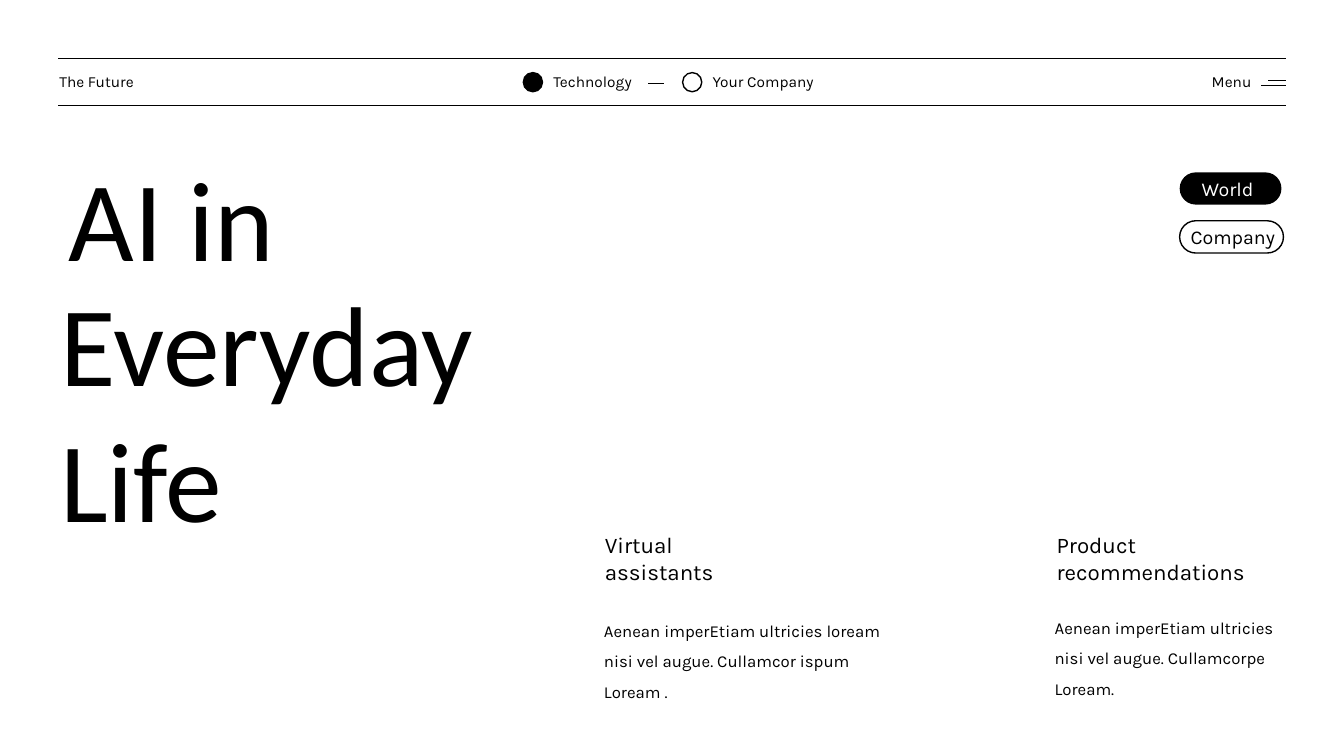
from pptx import Presentation
from pptx.util import Inches, Pt
from pptx.dml.color import RGBColor
from pptx.enum import shapes, text
from pptx.oxml.ns import qn
from lxml import etree

THEME = {
    "ink": RGBColor(0, 0, 0), "paper": RGBColor(255, 255, 255),
    "head": "Calibri", "body": "Karla",
    "huge": 81, "large": 16, "pill": 14, "text": 12, "nav": 11,
    "thin": 0.75, "line": 1,
}

TITLE = (["AI in"], (0.58, 1.42, 6.3, 1.46))
REST = (["Everyday", "Life"], (0.5, 2.66, 4.7, 2.83))
NAV = [
    ("The Future", 0.49, 1.19),
    ("Technology", 5.39, 1.28),
    ("Your Company", 6.97, 1.38),
    ("Menu", 11.92, 0.83),
]
DOTS = [(5.19, True), (6.77, False)]
RULES = [
    (0.58, 12.75, 0.58, "thin"),
    (0.58, 12.75, 1.05, "thin"),
    (12.58, 12.75, 0.8, "line"),
    (12.51, 12.75, 0.85, "line"),
    (6.43, 6.59, 0.83, "line"),
]
TOPICS = [
    (["Virtual assistants"], (5.9, 5.22, 1.7, 0.64),
     ["Aenean imperEtiam ultricies loream", "nisi vel augue. Cullamcor ispum", "Loream ."],
     (5.89, 6.01, 3.44, 0.98)),
    (["Product recommendations"], (10.38, 5.22, 2.19, 0.64),
     ["Aenean imperEtiam ultricies", "nisi vel augue. Cullamcorpe", "Loream."],
     (10.36, 5.98, 2.51, 0.98)),
]
PILLS = [
    ("World", (11.7, 1.71, 1.01, 0.32), (11.82, 1.71, 0.83, 0.34), True),
    ("Company", (11.7, 2.19, 1.03, 0.32), (11.71, 2.18, 1.27, 0.34), False),
]

deck = Presentation()
deck.slide_width, deck.slide_height = Inches(13.33), Inches(7.5)
slide = deck.slides.add_slide(deck.slide_layouts.get_by_name("Comparison"))
slide.background.fill.solid()
slide.background.fill.fore_color.rgb = THEME["paper"]
slots = slide.placeholders


def write(box, lines, place, size, face="body", ink="ink", space=1):
    box.left, box.top, box.width, box.height = map(Inches, place)
    frame = box.text_frame
    frame.word_wrap = True
    frame.auto_size = text.MSO_AUTO_SIZE.NONE
    frame.vertical_anchor = text.MSO_ANCHOR.TOP
    for row, line in enumerate(lines):
        para = frame.add_paragraph() if row else frame.paragraphs[0]
        props = para._p.get_or_add_pPr()
        props.set("marL", "0")
        props.set("indent", "0")
        etree.SubElement(props, qn("a:buNone"))
        para.alignment = text.PP_ALIGN.LEFT
        para.line_spacing = space
        para.space_before = para.space_after = Pt(0)
        run = para.add_run()
        run.text = line
        run.font.name = THEME[face]
        run.font.size = Pt(THEME[size])
        run.font.bold = False
        run.font.color.rgb = THEME[ink]


def label(lines, place, size, **style):
    box = slide.shapes.add_textbox(*map(Inches, place))
    write(box, lines, place, size, **style)


def draw(kind, place, full):
    item = slide.shapes.add_shape(kind, *map(Inches, place))
    item.shadow.inherit = False
    if full:
        item.fill.solid()
        item.fill.fore_color.rgb = THEME["ink"]
    else:
        item.fill.background()
    item.line.color.rgb = THEME["ink"]
    item.line.width = Pt(THEME["line"])
    return item


for left, right, y, weight in RULES:
    rule = slide.shapes.add_connector(
        shapes.MSO_CONNECTOR.STRAIGHT, Inches(left), Inches(y), Inches(right), Inches(y))
    rule.line.color.rgb = THEME["ink"]
    rule.line.width = Pt(THEME[weight])
    etree.SubElement(rule._element.spPr, qn("a:effectLst"))

for name, left, width in NAV:
    label([name], (left, 0.67, width, 0.29), "nav")

for left, full in DOTS:
    draw(shapes.MSO_SHAPE.OVAL, (left, 0.72, 0.19, 0.19), full)

write(slots[0], *TITLE, "huge", face="head")
label(*REST, "huge", face="head")

for col, (head, spot, lines, place) in enumerate(TOPICS):
    write(slots[1 + 2 * col], head, spot, "large")
    write(slots[2 + 2 * col], lines, place, "text", space=1.5)

for name, place, spot, full in PILLS:
    pill = draw(shapes.MSO_SHAPE.ROUNDED_RECTANGLE, place, full)
    pill.adjustments[0] = 0.5
    if full:
        pill.line.fill.background()
    label([name], spot, "pill", ink="paper" if full else "ink")

deck.save("out.pptx")
